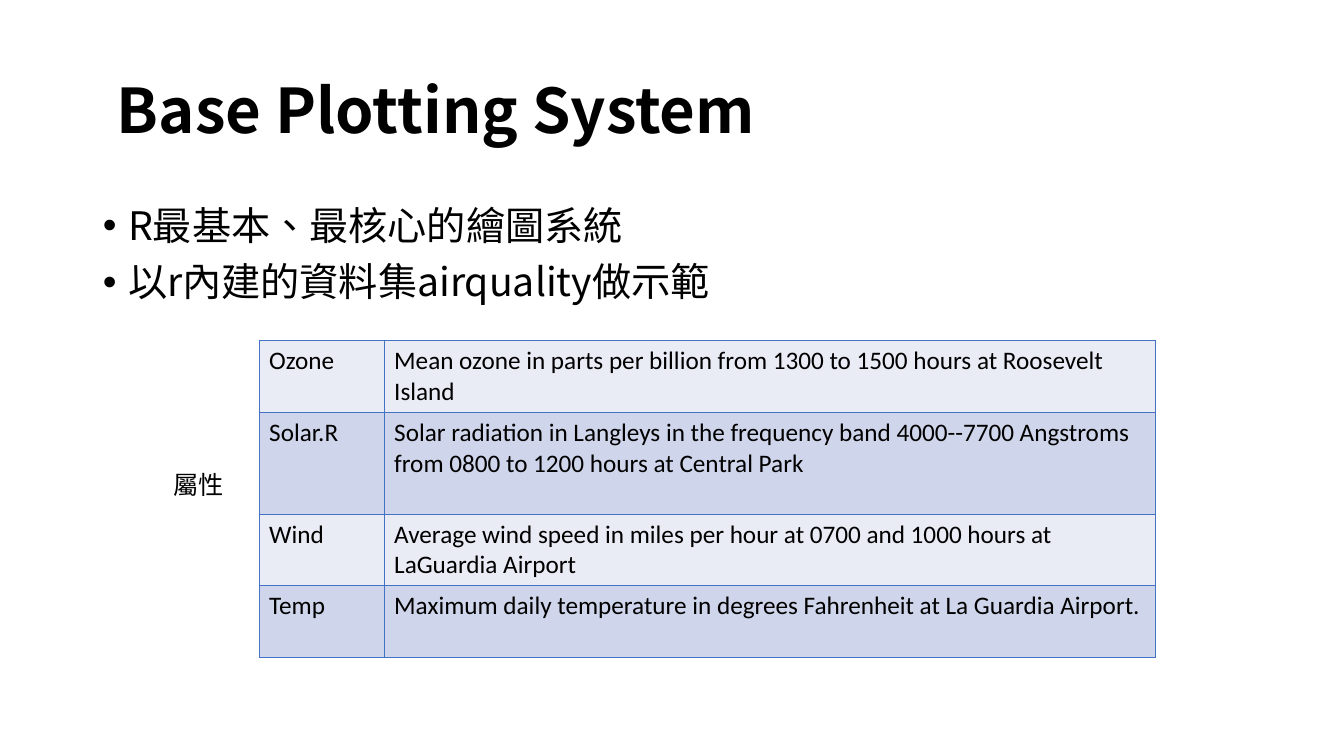
from pptx import Presentation
from pptx.dml.color import RGBColor
from pptx.enum import text
from pptx.oxml import parse_xml
from pptx.oxml.ns import nsdecls, qn
from pptx.util import Inches, Pt

BLACK = RGBColor(0x00, 0x00, 0x00)
BANDS = [RGBColor(0xE9, 0xEB, 0xF5), RGBColor(0xCF, 0xD5, 0xEA)]
BORDER = RGBColor(0x44, 0x72, 0xC4)
CJK = "Noto Sans CJK SC"


def style(p, size, name, bold=False):
    """Format a paragraph, using the same font for Latin and East Asian text."""
    p.font.size, p.font.name, p.font.bold = Pt(size), name, bold
    p.font.color.rgb = BLACK
    for r in p.runs:
        rPr = r._r.get_or_add_rPr()
        rPr.set("lang", "zh-TW" if name == CJK else "en-US")
        r.font.name = name
        rPr.append(parse_xml(f'<a:ea {nsdecls("a")} typeface="{name}"/>'))


def add_borders(cell):
    tcPr = cell._tc.get_or_add_tcPr()
    for i, side in enumerate(("lnL", "lnR", "lnT", "lnB")):
        tcPr.insert(i, parse_xml(
            f'<a:{side} {nsdecls("a")} w="12700"><a:solidFill>'
            f'<a:srgbClr val="{BORDER}"/></a:solidFill></a:{side}>'))


prs = Presentation()
prs.slide_width, prs.slide_height = Inches(13.33), Inches(7.5)
s = prs.slides.add_slide(prs.slide_layouts[1])

# Title
title = s.shapes.title
title.left, title.top = Inches(0.92), Inches(0.4)
title.width, title.height = Inches(11.5), Inches(1.45)
tf = title.text_frame
tf.text = " Base Plotting System"
tf.auto_size = text.MSO_AUTO_SIZE.NONE
tf.vertical_anchor = text.MSO_ANCHOR.MIDDLE
p = tf.paragraphs[0]
p.alignment = text.PP_ALIGN.LEFT
p.line_spacing = 0.9
style(p, 44, CJK, bold=True)

# Bullets
body = s.placeholders[1]
body.left, body.top = Inches(0.92), Inches(2)
body.width, body.height = Inches(11.5), Inches(4.76)
tf = body.text_frame
tf.text = "R最基本、最核心的繪圖系統\n以r內建的資料集airquality做示範"
tf.auto_size = text.MSO_AUTO_SIZE.NONE
for p in tf.paragraphs:
    p.line_spacing, p.space_before = 0.9, Pt(10)
    pPr = p._p.get_or_add_pPr()
    pPr.set("marL", str(Inches(0.25)))
    pPr.set("indent", str(-Inches(0.25)))
    style(p, 28, CJK)

# Attribute table
attributes = [
    ("Ozone", "Mean ozone in parts per billion from 1300 to 1500 hours at Roosevelt Island", 0.71),
    ("Solar.R", "Solar radiation in Langleys in the frequency band 4000--7700 Angstroms "
                "from 0800 to 1200 hours at Central Park", 1.01),
    ("Wind", "Average wind speed in miles per hour at 0700 and 1000 hours at LaGuardia Airport", 0.71),
    ("Temp", "Maximum daily temperature in degrees Fahrenheit at La Guardia Airport.", 0.71),
]
table = s.shapes.add_table(len(attributes), 2, Inches(2.57), Inches(3.38),
                           Inches(8.89), Inches(3.14)).table
table.first_row = table.horz_banding = False
for column, width in zip(table.columns, (1.24, 7.65)):
    column.width = Inches(width)
for i, (name, meaning, height) in enumerate(attributes):
    table.rows[i].height = Inches(height)
    for cell, words in zip(table.rows[i].cells, (name, meaning)):
        cell.text = words
        cell.fill.solid()
        cell.fill.fore_color.rgb = BANDS[i % 2]
        add_borders(cell)
        style(cell.text_frame.paragraphs[0], 18, "Calibri")

# Table label
label = s.shapes.add_textbox(Inches(1.62), Inches(4.61), Inches(0.8), Inches(0.4))
tf = label.text_frame
tf.text = "屬性"
tf.word_wrap = True
tf.auto_size = text.MSO_AUTO_SIZE.SHAPE_TO_FIT_TEXT
style(tf.paragraphs[0], 18, CJK)

prs.save("out.pptx")
